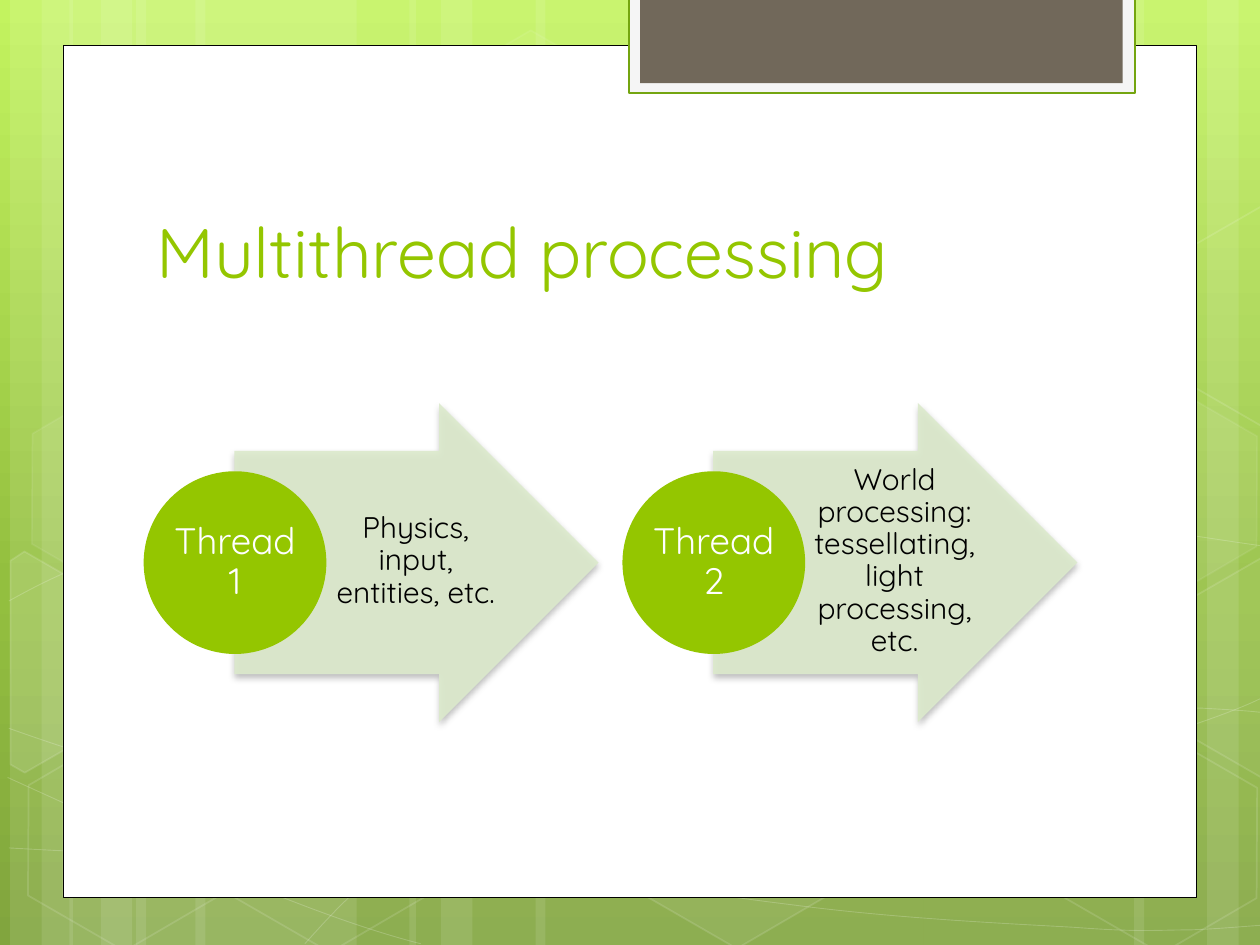
import pptx
import pptx.util
import pptx.dml.color
import pptx.enum.shapes
import pptx.enum.text
import pptx.oxml
import pptx.oxml.ns
import copy

Inches, Pt = pptx.util.Inches, pptx.util.Pt
RGBColor = pptx.dml.color.RGBColor
SHAPE = pptx.enum.shapes.MSO_SHAPE
ANCHOR, ALIGN = pptx.enum.text.MSO_ANCHOR, pptx.enum.text.PP_ALIGN
qn = pptx.oxml.ns.qn

WHITE = RGBColor(0xFF, 0xFF, 0xFF)
BLACK = RGBColor(0, 0, 0)
GREEN = RGBColor(0x94, 0xC6, 0x00)
PALE_GREEN = RGBColor(0xDC, 0xEA, 0xCC)
TAB_EDGE = RGBColor(0x74, 0xA5, 0x10)
TAB_RIM = RGBColor(0xF5, 0xF5, 0xF5)
TAB_BROWN = RGBColor(0x71, 0x68, 0x5A)
BACKDROP = [(0, RGBColor(0xC3, 0xF3, 0x5F)), (0.62, RGBColor(0x93, 0xBF, 0x3F)),
            (1, RGBColor(0x81, 0xA5, 0x3E))]
FONT = "Quicksand"
A_NS = 'xmlns:a="http://schemas.openxmlformats.org/drawingml/2006/main"'


def paint(s, fill=None, opacity=100, line=None, width=1, line_opacity=100):
    """Set fill and line, each with an opacity in percent."""
    s.shadow.inherit = False
    s.line.width = Pt(width)
    spPr = s._element.spPr
    for part, color, percent, owner in ((s.fill, fill, opacity, spPr),
                                        (s.line.fill, line, line_opacity, spPr.find(qn("a:ln")))):
        if color is None:
            part.background()
            continue
        part.solid()
        part.fore_color.rgb = color
        if percent < 100:
            owner.find(qn("a:solidFill"))[0].append(
                pptx.oxml.parse_xml(f'<a:alpha {A_NS} val="{percent * 1000}"/>'))


def write(s, text, size, color, insets, align=ALIGN.CENTER, anchor=ANCHOR.MIDDLE, spacing=0.9):
    """Put one formatted paragraph into a shape."""
    tf = s.text_frame
    tf.word_wrap = True
    tf.auto_size = pptx.enum.text.MSO_AUTO_SIZE.NONE
    tf.vertical_anchor = anchor
    tf.margin_left, tf.margin_top, tf.margin_right, tf.margin_bottom = map(Inches, insets)
    p = tf.paragraphs[0]
    p.alignment = align
    p.line_spacing = spacing
    r = p.add_run()
    r.text = text
    r.font.name, r.font.size, r.font.color.rgb = FONT, Pt(size), color


prs = pptx.Presentation()
prs.slide_width, prs.slide_height = Inches(10), Inches(7.5)
slide = prs.slides.add_slide(prs.slide_layouts[5])
shapes = slide.shapes

# Background gradient, top to bottom
fill = slide.background.fill
fill.gradient()
fill.gradient_angle = 270
stop_list = fill.gradient_stops[0]._gs.getparent()
stop_list.append(copy.deepcopy(stop_list[0]))
for stop, (position, color) in zip(fill.gradient_stops, BACKDROP):
    stop.position = position
    stop.color.rgb = color

# Translucent vertical bands: left, width, rotation
for left, width, turn in [(1.08, 1.75, 0), (0.08, 0.5, 0), (0.33, 0.83, 0), (1.55, 1.75, 0),
                          (0.55, 0.5, 0), (0.8, 0.83, 0), (7.33, 1.75, 180), (9.58, 0.5, 180),
                          (9, 0.83, 180), (4.25, 3.08, 0), (3.25, 0.5, 0), (3.5, 0.83, 0)]:
    s = shapes.add_shape(SHAPE.RECTANGLE, Inches(left), 0, Inches(width), prs.slide_height)
    s.rotation = turn
    paint(s, WHITE, 10)

# Thin waves: each is a chain of cubic curves (start, then control, control, end)
WAVES = [
    [(0.07, 6.73), (0.61, 6.76), (1.15, 6.79), (1.9, 6.78), (2.65, 6.77), (3.58, 6.75),
     (4.58, 6.65), (5.58, 6.55), (7, 6.36), (7.92, 6.17), (8.83, 5.98), (9.77, 5.68),
     (10.07, 5.51)],
    [(0.07, 4.77), (0.36, 4.61), (0.65, 4.46), (1.21, 4.31), (1.78, 4.16), (2.59, 3.94),
     (3.47, 3.87), (4.36, 3.8), (5.44, 3.79), (6.54, 3.87), (7.64, 3.95), (9.47, 4.26),
     (10.07, 4.34)],
    [(0.06, 6.17), (1.27, 6.72), (2.47, 7.27), (3.34, 7.49)],
    [(0.07, 5.78), (0.38, 5.89), (0.7, 6), (1.28, 6.16), (1.86, 6.31), (2.73, 6.56),
     (3.57, 6.73), (4.4, 6.9), (5.45, 7.08), (6.28, 7.18), (7.11, 7.29), (8, 7.33),
     (8.53, 7.36), (9.05, 7.4), (9.19, 7.38), (9.45, 7.38), (9.71, 7.37), (9.89, 7.35),
     (10.07, 7.34)],
    [(2.42, 7.49), (2.6, 7.29), (2.78, 7.09), (3.02, 6.91), (3.26, 6.73), (3.6, 6.53),
     (3.88, 6.39), (4.16, 6.25), (4.33, 6.19), (4.7, 6.09), (5.06, 5.99), (5.73, 5.85),
     (6.08, 5.78), (6.44, 5.71), (6.49, 5.71), (6.8, 5.69), (7.11, 5.66), (7.6, 5.63),
     (7.94, 5.62), (8.29, 5.61), (8.86, 5.62), (8.86, 5.62), (9.08, 5.62), (9.31, 5.62),
     (9.53, 5.62), (9.71, 5.63), (9.88, 5.64), (9.97, 5.65), (10.06, 5.66),
     (10.03, 5.65), (10.06, 5.66)],
]
for wave in WAVES:
    points = [(Inches(x), Inches(y)) for x, y in wave]
    builder = shapes.build_freeform(*points[0])
    builder.add_line_segments(points[1:], close=False)
    s = builder.convert_to_shape()
    # Join every three line steps into one cubic curve
    steps = list(s._element.iter(qn("a:lnTo")))
    for i in range(0, len(steps), 3):
        curve = pptx.oxml.parse_xml(f"<a:cubicBezTo {A_NS}/>")
        steps[i].addprevious(curve)
        for step in steps[i:i + 3]:
            curve.append(step[0])
            step.getparent().remove(step)
    paint(s, line=WHITE, width=0.5, line_opacity=20)

# Hexagons: left, top, fill opacity (0 for outline only), line opacity
for left, top, opacity, line_opacity in [
        (3.34, 0.36, 4, 8), (4.97, 5.89, 6, 12), (0.11, 5.91, 0, 12), (0.14, 3.12, 7, 8),
        (1.74, 5.92, 0, 12), (7.53, 4.53, 10, 12), (8.34, 5.93, 0, 12), (8.34, 3.14, 7, 8)]:
    s = shapes.add_shape(SHAPE.HEXAGON, Inches(left), Inches(top), Inches(1.75), Inches(1.52))
    s.adjustments[0] = 0.285
    s.rotation = 30
    paint(s, WHITE if opacity else None, opacity, WHITE, 1, line_opacity)

# Hexagons cut off at the slide edges: corners before rotation, left, top, fill opacity
LEFT_CUT = [(0, 0.12), (0.06, 0), (0.94, 0), (1.38, 0.76), (0.94, 1.52), (0.81, 1.52)]
RIGHT_CUT = [(0, 0.76), (0.44, 0), (0.53, 0), (1.36, 1.45), (1.32, 1.52), (0.44, 1.52)]
for corners, left, top, opacity in [(LEFT_CUT, -0.33, 4.59, 10), (RIGHT_CUT, 9.17, 4.44, 4),
                                    (RIGHT_CUT, 9.17, 1.65, 0)]:
    points = [(Inches(left + x), Inches(top + y)) for x, y in corners]
    builder = shapes.build_freeform(*points[0])
    builder.add_line_segments(points[1:], close=True)
    s = builder.convert_to_shape()
    s.rotation = 30
    paint(s, WHITE if opacity else None, opacity, WHITE, 1, 12)

# White card and the tab at its top: box, fill, line, line width
for box, color, line, width in [((0.5, 0.36, 9, 6.76), WHITE, BLACK, 0.5),
                                ((4.99, -0.02, 4.02, 0.76), TAB_RIM, TAB_EDGE, 1.25),
                                ((5.08, -0.02, 3.83, 0.68), TAB_BROWN, None, 1)]:
    s = shapes.add_shape(SHAPE.RECTANGLE, *map(Inches, box))
    paint(s, color, line=line, width=width)

# Title, raised above the card
title = shapes.title
shapes._spTree.append(title._element)
title.left, title.top, title.width, title.height = map(Inches, (1.14, 1.12, 7.68, 1.25))
write(title, "Multithread processing", 40, GREEN, (0.1, 0.05, 0.1, 0.05),
      ALIGN.LEFT, ANCHOR.BOTTOM, 1.0)

# Threads: an arrow with its tasks and a circle with its name
THREADS = [("Thread 1", "Physics, input, entities, etc."),
           ("Thread 2", "World processing: tessellating, light processing, etc.")]
for i, (name, tasks) in enumerate(THREADS):
    left = 1.14 + 3.8 * i
    arrow = shapes.add_shape(SHAPE.RIGHT_ARROW, Inches(left + 0.72), Inches(3.2),
                             Inches(2.89), Inches(2.53))
    arrow.adjustments[0], arrow.adjustments[1] = 0.7, 0.5
    paint(arrow, PALE_GREEN, 90)
    arrow._element.spPr.find(qn("a:effectLst")).append(pptx.oxml.parse_xml(
        f'<a:outerShdw {A_NS} blurRad="{Pt(4)}" dist="{Pt(2)}" dir="5400000" rotWithShape="0">'
        '<a:srgbClr val="000000"><a:alpha val="28000"/></a:srgbClr></a:outerShdw>'))
    box = shapes.add_textbox(Inches(left + 1.44), Inches(3.57), Inches(1.41), Inches(1.77))
    write(box, tasks, 17, BLACK, (0.05, 0.01, 0.02, 0.01))
    circle = shapes.add_shape(SHAPE.OVAL, Inches(left), Inches(3.74), Inches(1.45), Inches(1.45))
    paint(circle, GREEN)
    write(circle, name, 21, WHITE, (0.01,) * 4)

prs.save("out.pptx")
